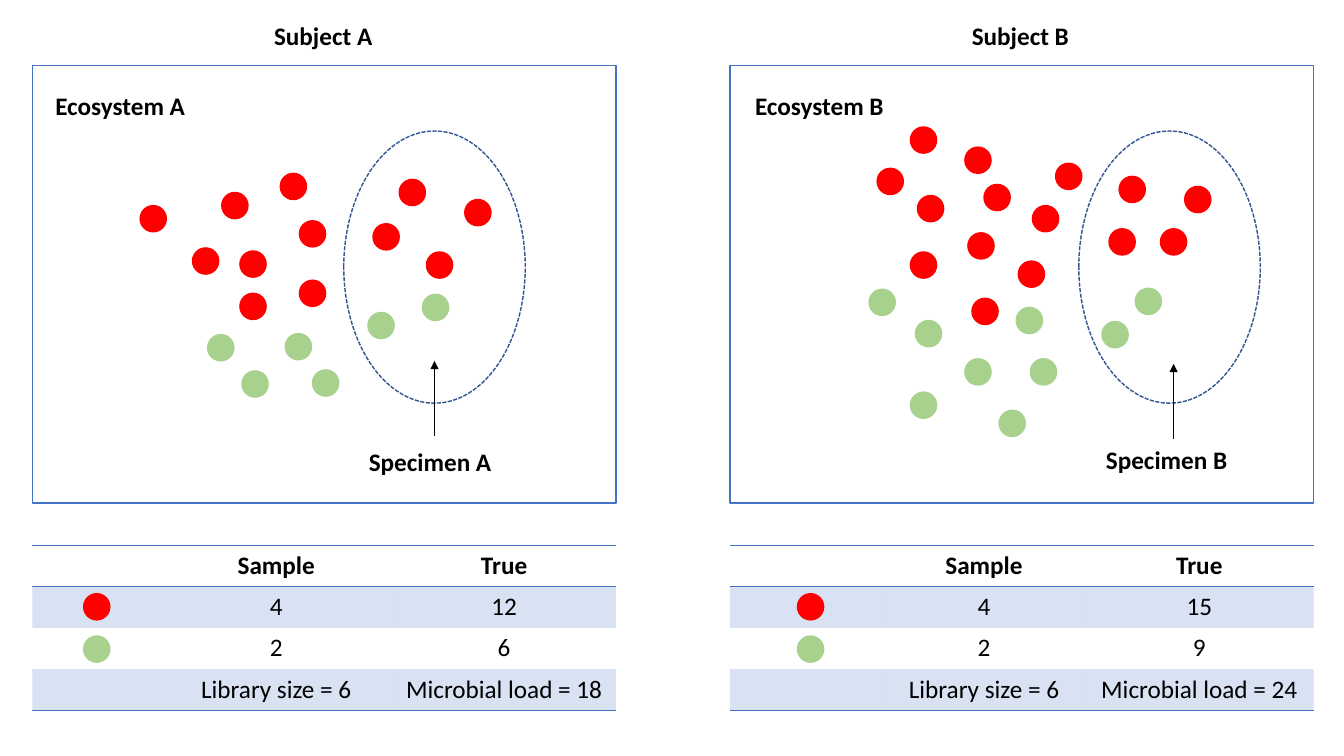
from dataclasses import dataclass

from lxml import etree
from pptx import Presentation
from pptx.dml.color import RGBColor
from pptx.enum.dml import MSO_LINE_DASH_STYLE as DASH
from pptx.enum.shapes import MSO_CONNECTOR, MSO_SHAPE
from pptx.enum.text import MSO_AUTO_SIZE, PP_ALIGN
from pptx.oxml.ns import qn
from pptx.util import Inches, Pt

BLACK = RGBColor(0x00, 0x00, 0x00)
WHITE = RGBColor(0xFF, 0xFF, 0xFF)
BLUE = RGBColor(0x44, 0x72, 0xC4)
NAVY = RGBColor(0x32, 0x54, 0x91)
RED = RGBColor(0xFF, 0x00, 0x00)
GREEN = RGBColor(0xA9, 0xD1, 0x8E)

FONT = "Calibri"
NO_TABLE_STYLE = "{2D5ABB26-0587-4C30-8999-92F81FD0307C}"
DOT = 0.26
ROW_H = 0.41
PANEL_W, PANEL_H = 5.79, 4.34
PANEL_TOP, TABLE_TOP = 0.65, 5.41


@dataclass
class Subject:
    """One half of the slide; positions are relative to the panel's corner."""
    name: str
    left: float
    red: list
    green: list
    sampled: tuple
    oval_x: float
    arrow: tuple
    specimen: tuple
    ecosystem_x: float
    columns: tuple
    key_x: float


SUBJECTS = [
    Subject(
        name="A", left=0.32,
        red=[(1.07, 1.39), (1.88, 1.26), (1.59, 1.81), (2.46, 1.07),
             (2.65, 2.13), (2.06, 1.84), (3.91, 1.85), (2.06, 2.26),
             (2.65, 1.54), (3.64, 1.13), (3.38, 1.57), (4.29, 1.33)],
        green=[(1.74, 2.67), (2.08, 3.03), (2.78, 3.02), (2.51, 2.66),
               (3.33, 2.45), (3.87, 2.27)],
        sampled=(4, 2), oval_x=3.09, arrow=(3.99, 3.68),
        specimen=(3.24, 3.73), ecosystem_x=0.13,
        columns=(1.27, 2.3, 2.22), key_x=0.51),
    Subject(
        name="B", left=7.24,
        red=[(1.79, 0.61), (1.46, 1.02), (1.86, 1.29), (2.33, 0.81),
             (2.36, 1.66), (2.52, 1.18), (1.79, 1.85), (3.0, 1.39),
             (2.86, 1.94), (2.4, 2.31), (3.23, 0.97), (3.86, 1.1),
             (3.76, 1.62), (4.51, 1.2), (4.27, 1.62)],
        green=[(4.02, 2.21), (3.69, 2.54), (1.84, 2.53), (2.33, 2.91),
               (2.84, 2.4), (2.98, 2.91), (1.38, 2.22), (1.79, 3.24),
               (2.67, 3.42)],
        sampled=(4, 2), oval_x=3.46, arrow=(4.4, 3.71),
        specimen=(3.63, 3.71), ecosystem_x=0.15,
        columns=(1.52, 2, 2.27), key_x=0.67),
]


def add_run(p, text, bold):
    r = p.add_run()
    r.text = text
    r.font.name = FONT
    r.font.size = Pt(18)
    r.font.bold = bold
    r.font.color.rgb = BLACK


def add_label(shapes, x, y, w, text):
    tf = shapes.add_textbox(Inches(x), Inches(y), Inches(w), Inches(0.4)).text_frame
    tf.word_wrap = False
    tf.auto_size = MSO_AUTO_SIZE.SHAPE_TO_FIT_TEXT
    add_run(tf.paragraphs[0], text, True)


def add_outlined(shapes, kind, x, y, w, h, fill, line):
    sp = shapes.add_shape(kind, Inches(x), Inches(y), Inches(w), Inches(h))
    sp.shadow.inherit = False
    if fill is None:
        sp.fill.background()
    else:
        sp.fill.solid()
        sp.fill.fore_color.rgb = fill
    sp.line.color.rgb = line
    sp.line.width = Pt(1)
    return sp


def add_dot(shapes, x, y, color):
    add_outlined(shapes, MSO_SHAPE.OVAL, x, y, DOT, DOT, color, color)


def add_up_arrow(shapes, x, y, length):
    line = shapes.add_connector(MSO_CONNECTOR.STRAIGHT, Inches(x), Inches(y),
                                Inches(x), Inches(y - length))
    line.line.color.rgb = BLACK
    line.line.width = Pt(1)
    etree.SubElement(line.line._get_or_add_ln(), qn("a:tailEnd"), type="triangle")
    etree.SubElement(line._element.spPr, qn("a:effectLst"))


def add_border(cell, side):
    ln = etree.SubElement(cell._tc.get_or_add_tcPr(), qn(f"a:ln{side}"), w=str(Pt(1)))
    fill = etree.SubElement(ln, qn("a:solidFill"))
    etree.SubElement(fill, qn("a:srgbClr"), val=str(BLUE))


def shade(cell):
    """Fill a cell with blue at 20 % opacity."""
    cell.fill.solid()
    cell.fill.fore_color.rgb = BLUE
    color = cell._tc.tcPr.find(f"{qn('a:solidFill')}/{qn('a:srgbClr')}")
    etree.SubElement(color, qn("a:alpha"), val="20000")


def add_ecosystem(slide, subject, x, y):
    group = slide.shapes.add_group_shape().shapes
    add_outlined(group, MSO_SHAPE.RECTANGLE, x, y, PANEL_W, PANEL_H, WHITE, BLUE)
    for color, dots in ((RED, subject.red), (GREEN, subject.green)):
        for dx, dy in dots:
            add_dot(group, x + dx, y + dy, color)
    oval = add_outlined(group, MSO_SHAPE.OVAL, x + subject.oval_x, y + 0.65,
                        1.8, 2.7, None, NAVY)
    oval.line.dash_style = DASH.SQUARE_DOT

    shapes = slide.shapes
    add_label(shapes, x + 2.3, y - 0.5, 1.18, f"Subject {subject.name}")
    add_label(shapes, x + subject.ecosystem_x, y + 0.2, 1.55, f"Ecosystem {subject.name}")
    dx, dy = subject.arrow
    add_up_arrow(shapes, x + dx, y + dy, 0.75)
    dx, dy = subject.specimen
    add_label(shapes, x + dx, y + dy, 1.48, f"Specimen {subject.name}")


def add_counts(slide, subject, x, y):
    true = len(subject.red), len(subject.green)
    rows = [("", "Sample", "True"),
            *(("", str(s), str(t)) for s, t in zip(subject.sampled, true)),
            ("", f"Library size = {sum(subject.sampled)}",
             f"Microbial load = {sum(true)}")]
    frame = slide.shapes.add_table(len(rows), 3, Inches(x), Inches(y),
                                   Inches(PANEL_W), Inches(ROW_H * len(rows)))
    table = frame.table
    table._tbl.tblPr.find(qn("a:tableStyleId")).text = NO_TABLE_STYLE
    table.first_row = table.horz_banding = False
    for column, width in zip(table.columns, subject.columns):
        column.width = Inches(width)
    for i, texts in enumerate(rows):
        table.rows[i].height = Inches(ROW_H)
        for cell, text in zip(table.rows[i].cells, texts):
            if i == 0:
                add_border(cell, "T")
            if i in (0, len(rows) - 1):
                add_border(cell, "B")
            if i % 2:
                shade(cell)
            else:
                cell.fill.background()
            if text:
                p = cell.text_frame.paragraphs[0]
                p.alignment = PP_ALIGN.CENTER
                add_run(p, text, i == 0)
    for i, color in enumerate((RED, GREEN)):
        add_dot(slide.shapes, x + subject.key_x, y + 0.48 + i * 0.42, color)


def main():
    prs = Presentation()
    prs.slide_width, prs.slide_height = Inches(13.33), Inches(7.5)
    s = prs.slides.add_slide(prs.slide_layouts[6])
    for subject in SUBJECTS:
        add_counts(s, subject, subject.left, TABLE_TOP)
        add_ecosystem(s, subject, subject.left, PANEL_TOP)
    prs.save("out.pptx")


if __name__ == "__main__":
    main()
